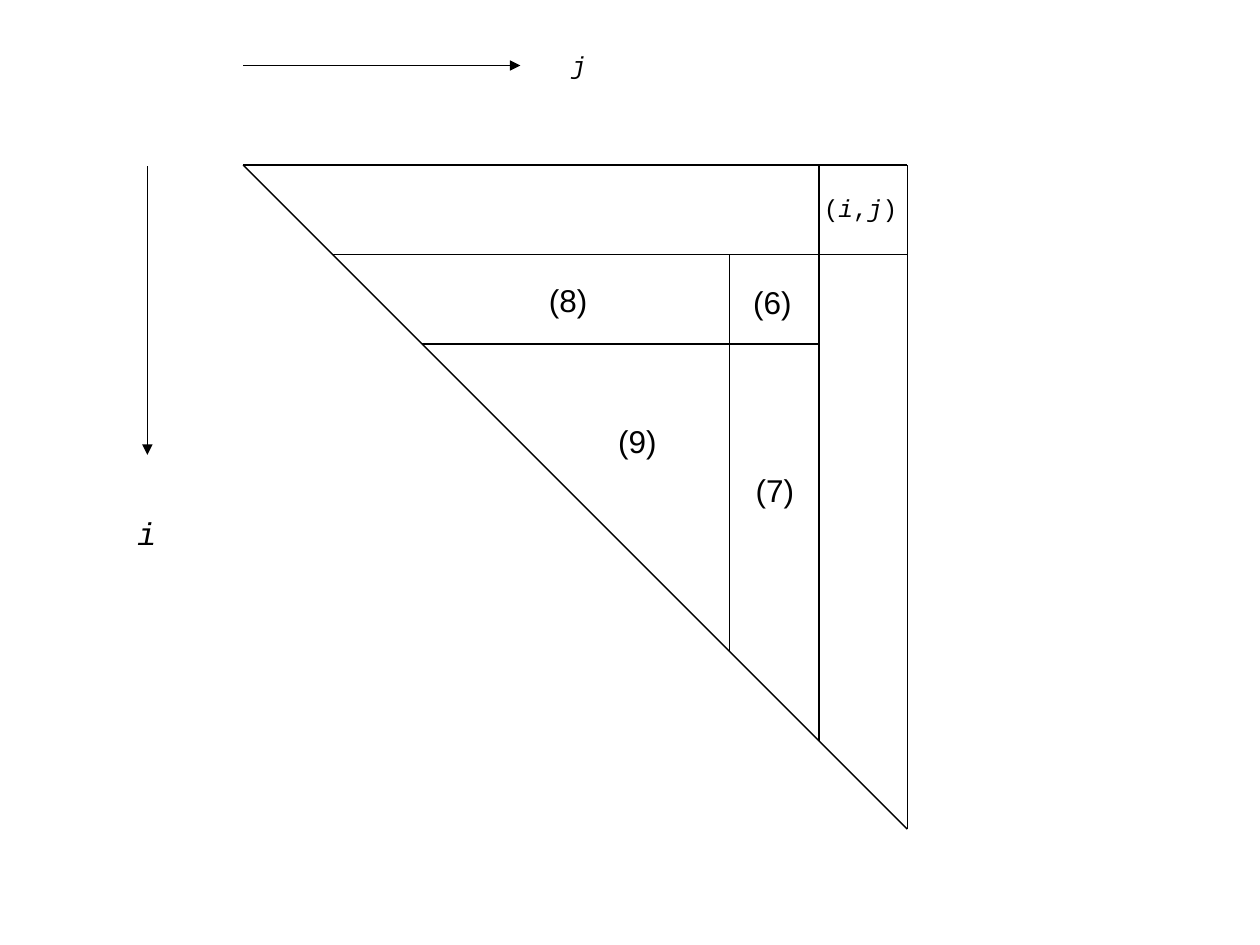
from lxml.etree import SubElement
from pptx import Presentation
from pptx.dml.color import RGBColor
from pptx.enum.shapes import MSO_CONNECTOR
from pptx.enum.text import MSO_AUTO_SIZE, PP_ALIGN
from pptx.oxml.ns import qn
from pptx.util import Inches, Pt

BLACK = RGBColor(0, 0, 0)
MONO, SANS = "Courier New", "Arial"

# Triangle: the diagonal runs down at 45 degrees, bands are cut by rows and columns
LEFT, TOP, RIGHT = 1.93, 1.31, 7.2
ROWS = [TOP, 2.02, 2.73]
COLUMNS = [RIGHT, 6.5, 5.79]
ROW_ENDS = [RIGHT, RIGHT, 6.5]
COLUMN_STARTS = [TOP, TOP, 2.02]

AXES = [
    ((LEFT, 0.52), (4.13, 0.52)),
    ((1.17, 1.32), (1.17, 3.61)),
]

# Text, box (left, top, width, height), font, size
LABELS = [
    ("(i,j)", (6.44, 1.48, 0.78, 0.34), MONO, 14),
    ("(9)", (4.81, 3.3, 0.5, 0.4), SANS, 18),
    ("(8)", (4.26, 2.18, 0.5, 0.4), SANS, 18),
    ("(7)", (5.9, 3.69, 0.5, 0.4), SANS, 18),
    ("(6)", (5.88, 2.2, 0.5, 0.4), SANS, 18),
    ("j", (4.44, 0.35, 0.31, 0.34), MONO, 14),
    ("i", (0.99, 4.03, 0.35, 0.4), MONO, 18),
]


def add_line(page, start, end, arrow=False):
    line = page.shapes.add_connector(
        MSO_CONNECTOR.STRAIGHT, *(Inches(value) for value in start + end))
    line.line.color.rgb = BLACK
    line.line.width = Pt(0.75)
    properties = line._element.spPr
    if arrow:
        SubElement(properties.find(qn("a:ln")), qn("a:tailEnd"), type="triangle")
    SubElement(properties, qn("a:effectLst"))


def add_label(page, text, place, font=SANS, size=18):
    """Add a centred label whose letters are index variables in italics."""
    box = page.shapes.add_textbox(*(Inches(value) for value in place))
    frame = box.text_frame
    frame.word_wrap = False
    frame.auto_size = MSO_AUTO_SIZE.NONE
    frame.margin_left = frame.margin_right = Inches(0.05)
    para = frame.paragraphs[0]
    para.alignment = PP_ALIGN.CENTER
    pieces = text if "i" in text or "j" in text else [text]
    for piece in pieces:
        span = para.add_run()
        span.text = piece
        span.font.name = font
        span.font.size = Pt(size)
        span.font.italic = piece.isalpha()
        span.font.color.rgb = BLACK


def main():
    deck = Presentation()
    deck.slide_width, deck.slide_height = Inches(10), Inches(7.5)
    page = deck.slides.add_slide(deck.slide_layouts[6])

    drop = LEFT - TOP  # x minus y anywhere on the diagonal
    add_line(page, (LEFT, TOP), (RIGHT, RIGHT - drop))
    for y, end in zip(ROWS, ROW_ENDS):
        add_line(page, (y + drop, y), (end, y))
    for x, start in zip(COLUMNS, COLUMN_STARTS):
        add_line(page, (x, start), (x, x - drop))
    for start, end in AXES:
        add_line(page, start, end, arrow=True)
    for text, place, font, size in LABELS:
        add_label(page, text, place, font=font, size=size)

    deck.save("out.pptx")


if __name__ == "__main__":
    main()
